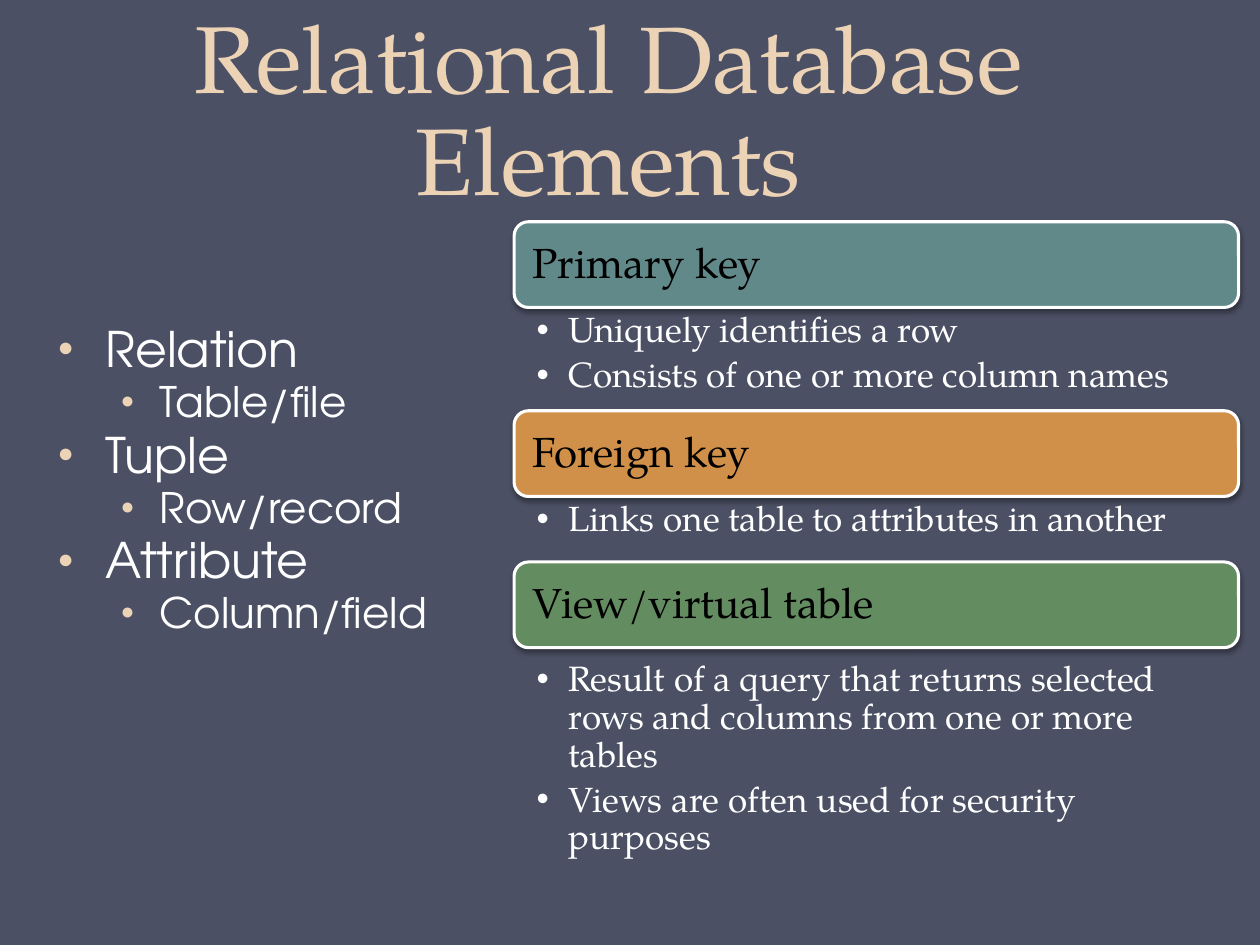
import pptx
import pptx.util
import pptx.dml.color
import pptx.enum.shapes
import pptx.enum.text
import pptx.oxml
import pptx.oxml.ns

SERIF, SANS = "TeX Gyre Pagella", "TeX Gyre Adventor"
WHITE, CREAM = "FFFFFF", "EDD3B6"
WIDE, HIGH = pptx.util.Inches(10), pptx.util.Inches(7.5)
HEAD = 9.07
ANCHOR = pptx.enum.text.MSO_ANCHOR
ALIGN = pptx.enum.text.PP_ALIGN

TERMS = [("Relation", "Table/file"), ("Tuple", "Row/record"),
         ("Attribute", "Column/field")]
KEYS = [
    ("Primary key", "61898A", 23.47, 9.2, 10.8,
     ["Uniquely identifies a row", "Consists of one or more column names"]),
    ("Foreign key", "D19049", 43.47, 9.2, 10.8,
     ["Links one table to attributes in another"]),
    ("View/virtual table", "648C61", 59.47, 10.13, 24.4,
     ["Result of a query that returns selected rows and columns from one or more tables",
      "Views are often used for security purposes"]),
]


def tint(code):
    """Return the colour for a hex string."""
    return pptx.dml.color.RGBColor.from_string(code)


def scale(box):
    """Turn percent shares of the slide into left, top, width and height."""
    return [int(share * side / 100) for share, side in zip(box, (WIDE, HIGH) * 2)]


def style(para, face, size, color):
    """Format every run of a paragraph."""
    for run in para.runs:
        run.font.name, run.font.size = face, pptx.util.Pt(size)
        run.font.color.rgb = tint(color)


def inset(frame, left, top, right, low):
    """Set the margins of a text frame in inches and let it wrap."""
    frame.word_wrap = True
    frame.margin_left, frame.margin_top = pptx.util.Inches(left), pptx.util.Inches(top)
    frame.margin_right, frame.margin_bottom = pptx.util.Inches(right), pptx.util.Inches(low)


def bullet(para, mark, color, share, left, hang):
    """Give a paragraph a bullet and a hanging indent."""
    props = para._p.get_or_add_pPr()
    props.set("marL", str(pptx.util.Inches(left)))
    props.set("indent", str(-pptx.util.Inches(hang)))
    space = pptx.oxml.ns.nsdecls("a")
    for part in (f'<a:buClr {space}><a:srgbClr val="{color}"/></a:buClr>',
                 f'<a:buSzPct {space} val="{share * 1000}"/>',
                 f'<a:buFont {space} typeface="Arial"/>',
                 f'<a:buChar {space} char="{mark}"/>'):
        props.append(pptx.oxml.parse_xml(part))


def shade(shape):
    """Put a soft shadow under a shape."""
    shape.shadow.inherit = False
    effect = shape._element.spPr.find(pptx.oxml.ns.qn("a:effectLst"))
    effect.append(pptx.oxml.parse_xml(
        f'<a:outerShdw {pptx.oxml.ns.nsdecls("a")} blurRad="{pptx.util.Pt(3.1)}" '
        f'dist="{pptx.util.Pt(1.8)}" dir="5400000" rotWithShape="0">'
        '<a:srgbClr val="000000"><a:alpha val="35000"/></a:srgbClr></a:outerShdw>'))


def add_title(slide, box, text):
    """Place and format the slide title."""
    title = slide.shapes.title
    title.left, title.top, title.width, title.height = scale(box)
    frame = title.text_frame
    frame.text = text
    frame.word_wrap = True
    frame.auto_size = pptx.enum.text.MSO_AUTO_SIZE.NONE
    frame.vertical_anchor = ANCHOR.BOTTOM
    para = frame.paragraphs[0]
    para.alignment, para.line_spacing = ALIGN.CENTER, pptx.util.Pt(58)
    style(para, SERIF, 54, CREAM)


def add_terms(slide, box, terms):
    """List each term with its everyday name one level below."""
    frame = slide.shapes.add_textbox(*scale(box)).text_frame
    frame.word_wrap = True
    frame.text = "\n".join(word for pair in terms for word in pair)
    for spot, para in enumerate(frame.paragraphs):
        para.level = spot % 2
        size, left, hang = ((28, 0.38, 0.38), (24, 0.81, 0.31))[para.level]
        bullet(para, "●", CREAM, 55, left, hang)
        para.line_spacing = 0.8
        if spot:
            para.space_before = pptx.util.Pt(size * 0.2)
        style(para, SANS, size, WHITE)


def add_key(slide, box, name, color, drop, points):
    """Draw a header bar at the top of the box and its points below."""
    left, top, width, height = box
    bar = slide.shapes.add_shape(pptx.enum.shapes.MSO_SHAPE.ROUNDED_RECTANGLE,
                                 *scale((left, top, width, HEAD)))
    bar.fill.solid()
    bar.fill.fore_color.rgb = tint(color)
    bar.line.color.rgb = tint(WHITE)
    bar.line.width = pptx.util.Pt(1.75)
    shade(bar)
    frame = bar.text_frame
    frame.text = name
    inset(frame, 0.11, 0.1, 0.11, 0.1)
    frame.vertical_anchor = ANCHOR.MIDDLE
    para = frame.paragraphs[0]
    para.alignment, para.line_spacing = ALIGN.LEFT, 0.9
    style(para, SERIF, 24, "000000")

    body = slide.shapes.add_textbox(*scale((left, top + drop, width, height - drop)))
    frame = body.text_frame
    inset(frame, 0.18, 0.03, 0.16, 0.03)
    frame.text = "\n".join(points)
    for para in frame.paragraphs:
        para.level = 1
        bullet(para, "•", WHITE, 100, 0.25, 0.25)
        para.line_spacing, para.space_after = 0.9, pptx.util.Pt(4)
        style(para, SERIF, 20, WHITE)


def main():
    """Build the slide and save it."""
    deck = pptx.Presentation()
    deck.slide_width, deck.slide_height = WIDE, HIGH
    slide = deck.slides.add_slide(deck.slide_layouts[5])
    slide.background.fill.solid()
    slide.background.fill.fore_color.rgb = tint("4B5064")
    add_title(slide, (3.3, 0, 90, 23.33), "Relational Database Elements")
    add_terms(slide, (3.6, 34.27, 40.8, 34.13), TERMS)
    for name, color, top, drop, tall, points in KEYS:
        add_key(slide, (40.8, top, 57.5, drop + tall), name, color, drop, points)
    deck.save("out.pptx")


if __name__ == "__main__":
    main()
